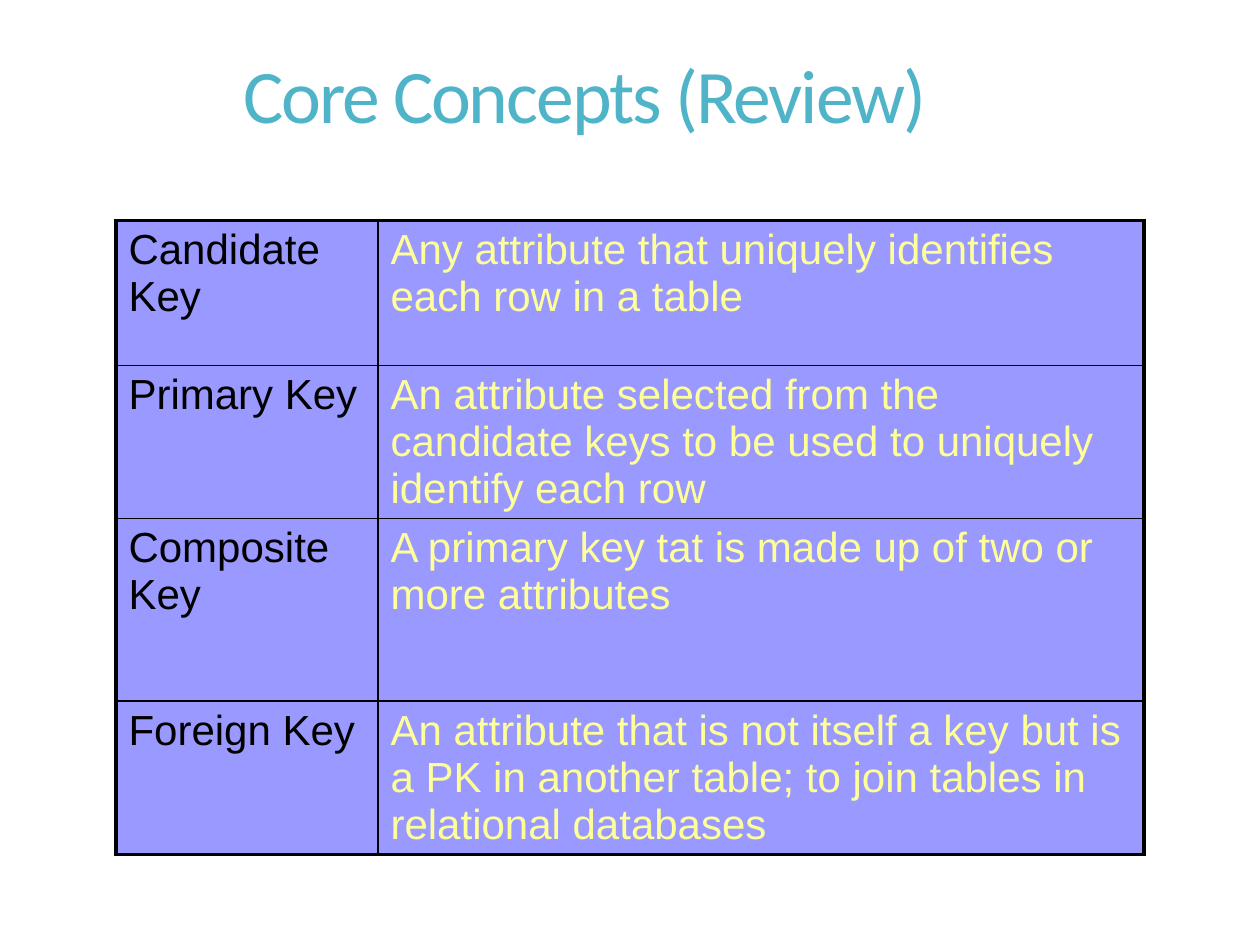
from typing import NamedTuple

from lxml.etree import SubElement
from pptx import Presentation
from pptx.dml.color import RGBColor
from pptx.enum.text import MSO_ANCHOR, MSO_AUTO_SIZE, PP_ALIGN
from pptx.oxml.ns import qn
from pptx.util import Inches, Pt

BLACK, TEAL, LILAC, YELLOW = "000000", "50B4C8", "9999FF", "FFFF99"
OUTER, INNER = 2.25, 1
COLUMN_WIDTHS = (2.08, 6.08)


class Concept(NamedTuple):
    term: str
    meaning: str
    height: float


CONCEPTS = (
    Concept("Candidate Key",
            "Any attribute that uniquely identifies each row in a table", 1.15),
    Concept("Primary Key",
            "An attribute selected from the candidate keys to be used to "
            "uniquely identify each row", 1.16),
    Concept("Composite Key",
            "A primary key tat is made up of two or more attributes", 1.45),
    Concept("Foreign Key",
            "An attribute that is not itself a key but is a PK in another table; "
            "to join tables in relational databases", 1.16),
)


def color(value: str) -> RGBColor:
    return RGBColor.from_string(value)


def write(tf, text: str, *, size: float, font: str, fill: str,
          line_spacing: float | None = None, tracking: float = 0) -> None:
    p = tf.paragraphs[0]
    p.alignment = PP_ALIGN.LEFT
    p.line_spacing = line_spacing
    r = p.add_run()
    r.text = text
    r.font.size, r.font.name = Pt(size), font
    r.font.color.rgb = color(fill)
    if tracking:
        r.font._element.set("spc", str(round(tracking * 100)))


def set_borders(cell, widths: dict[str, float]) -> None:
    tc_pr = cell._tc.get_or_add_tcPr()
    for index, (side, width) in enumerate(widths.items()):
        ln = tc_pr.makeelement(qn(f"a:ln{side}"), {"w": str(Pt(width))})
        fill = SubElement(ln, qn("a:solidFill"))
        SubElement(fill, qn("a:srgbClr"), val=BLACK)
        tc_pr.insert(index, ln)


def add_concept_table(s, concepts: tuple[Concept, ...]) -> None:
    rows, cols = len(concepts), len(COLUMN_WIDTHS)
    table = s.shapes.add_table(
        rows, cols, Inches(0.92), Inches(1.75), Inches(sum(COLUMN_WIDTHS)),
        Inches(sum(c.height for c in concepts))).table
    table.first_row = table.horz_banding = False
    for column, width in zip(table.columns, COLUMN_WIDTHS):
        column.width = Inches(width)
    for i, concept in enumerate(concepts):
        table.rows[i].height = Inches(concept.height)
        contents = ((concept.term, BLACK), (concept.meaning, YELLOW))
        for j, (text, text_color) in enumerate(contents):
            cell = table.cell(i, j)
            cell.fill.solid()
            cell.fill.fore_color.rgb = color(LILAC)
            write(cell.text_frame, text, size=24, font="Arial", fill=text_color)
            edges = {"L": j == 0, "R": j == cols - 1,
                     "T": i == 0, "B": i == rows - 1}
            set_borders(cell, {side: OUTER if outer else INNER
                               for side, outer in edges.items()})


def add_title(s, text: str) -> None:
    sp = s.shapes.title
    sp.left, sp.top = Inches(1.83), Inches(0.4)
    sp.width, sp.height = Inches(6.92), Inches(0.77)
    tf = sp.text_frame
    tf.auto_size = MSO_AUTO_SIZE.NONE
    tf.vertical_anchor = MSO_ANCHOR.MIDDLE
    write(tf, text, size=43.2, font="Calibri", fill=TEAL,
          line_spacing=0.9, tracking=-1.2)


def main() -> None:
    prs = Presentation()
    prs.slide_width, prs.slide_height = Inches(10), Inches(7.5)
    s = prs.slides.add_slide(prs.slide_layouts.get_by_name("Title Only"))
    add_title(s, "Core Concepts (Review)")
    add_concept_table(s, CONCEPTS)
    prs.save("out.pptx")


if __name__ == "__main__":
    main()
